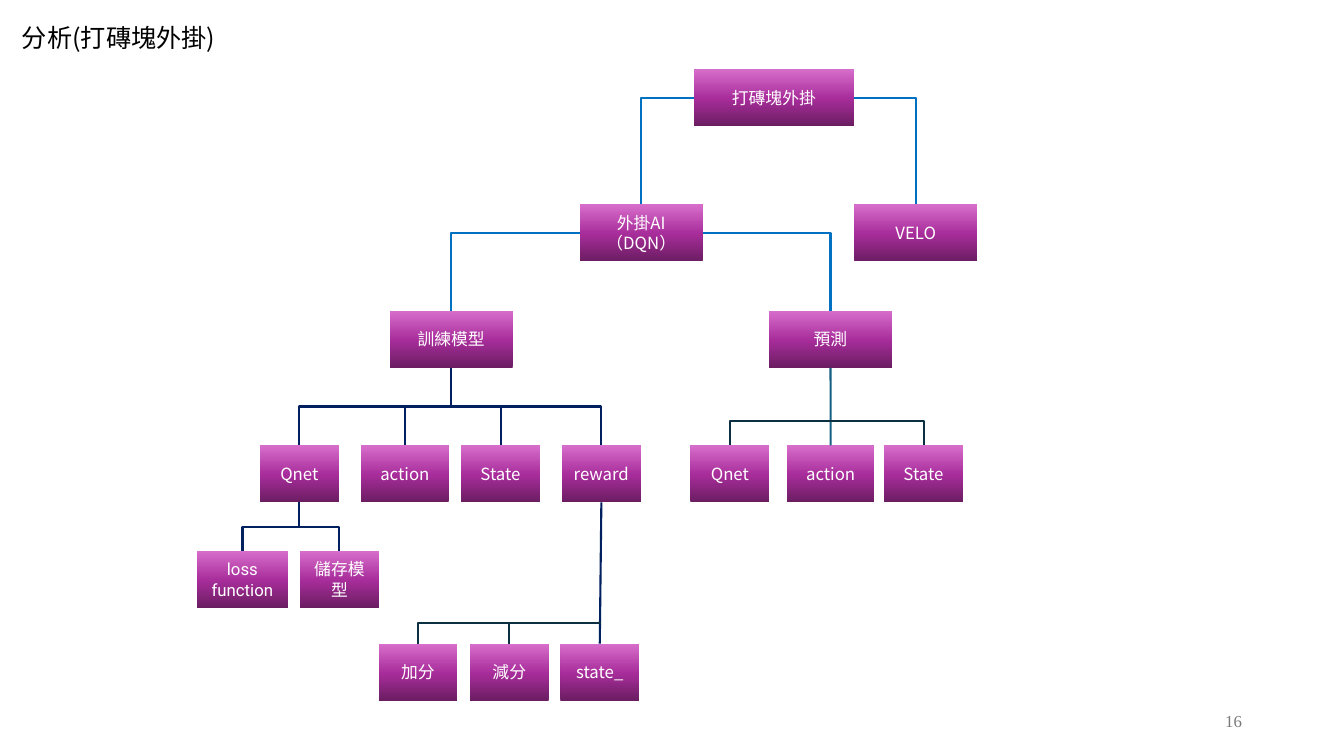
import copy
from dataclasses import dataclass

import pptx
import pptx.dml.color
import pptx.enum.shapes
import pptx.enum.text
import pptx.oxml.ns
import pptx.util
from lxml import etree
from pptx.util import Cm

CJK_FONT = "Noto Sans CJK SC"
BLUE, NAVY, TEAL, DARK = "0070C0", "002060", "156082", "0B3041"
GRADIENT = [(0, "6B1D62"), (0.48, "A72D9A"), (1, "D86ECC")]
ROW_TOPS = [1.74, 5.15, 7.83, 11.22, 13.88, 16.22]
BOX_HEIGHT = 1.44
TOP, LEFT, BOTTOM, RIGHT = range(4)
Align = pptx.enum.text.PP_ALIGN
Anchor = pptx.enum.text.MSO_ANCHOR
Line = pptx.enum.shapes.MSO_CONNECTOR


@dataclass
class Node:
    key: str
    text: str
    row: int
    left: float
    width: float = 1.99
    font: str = CJK_FONT


@dataclass
class Link:
    parent: str
    side: int
    child: str
    color: str
    straight: bool = False


@dataclass
class Branch:
    """An elbow from a point on a vertical stem to the top of a box."""
    x: float
    y: float
    child: str


NODES = [
    Node("root", "打磚塊外掛", 0, 17.48, 4.05),
    Node("ai", "外掛AI（DQN）", 1, 14.61, 3.1),
    Node("platform", "VELO", 1, 21.53, 3.1),
    Node("train", "訓練模型", 2, 9.82, 3.1),
    Node("predict", "預測", 2, 19.38, 3.1),
    Node("train qnet", "Qnet", 3, 6.55),
    Node("train action", "action", 3, 9.1, 2.21),
    Node("train state", "State", 3, 11.62),
    Node("reward", "reward", 3, 14.16),
    Node("predict qnet", "Qnet", 3, 17.4),
    Node("predict action", "action", 3, 19.83, 2.21),
    Node("predict state", "State", 3, 22.28),
    Node("loss", "loss function", 4, 4.96, 2.3, "Roboto"),
    Node("save", "儲存模型", 4, 7.56),
    Node("plus", "加分", 5, 9.54),
    Node("minus", "減分", 5, 11.84),
    Node("next state", "state_", 5, 14.12),
]
LINKS = [
    Link("root", LEFT, "ai", BLUE),
    Link("root", RIGHT, "platform", BLUE),
    Link("ai", LEFT, "train", BLUE),
    Link("ai", RIGHT, "predict", BLUE),
    Link("train", BOTTOM, "train qnet", NAVY),
    Link("train", BOTTOM, "train action", NAVY),
    Link("train", BOTTOM, "train state", NAVY),
    Link("train", BOTTOM, "reward", NAVY),
    Link("train qnet", BOTTOM, "loss", NAVY),
    Link("train qnet", BOTTOM, "save", NAVY),
    Link("reward", BOTTOM, "next state", NAVY, straight=True),
    Link("predict", BOTTOM, "predict action", TEAL, straight=True),
]
BRANCHES = [
    Branch(15.14, 15.7, "minus"),
    Branch(15.14, 15.7, "plus"),
    Branch(20.94, 10.62, "predict state"),
    Branch(20.94, 10.62, "predict qnet"),
]


def rgb(value: str) -> pptx.dml.color.RGBColor:
    return pptx.dml.color.RGBColor.from_string(value)


def write(shape, text: str, *, size: float = 12, font: str = CJK_FONT,
          color: str = "FFFFFF", align=Align.CENTER, anchor=Anchor.MIDDLE) -> None:
    frame = shape.text_frame
    frame.word_wrap = True
    frame.vertical_anchor = anchor
    para = frame.paragraphs[0]
    para.alignment = align
    span = para.add_run()
    span.text = text
    span.font.size = pptx.util.Pt(size)
    span.font.name = font
    span.font.color.rgb = rgb(color)
    latin = span.font._element.find(pptx.oxml.ns.qn("a:latin"))
    east_asian = etree.Element(pptx.oxml.ns.qn("a:ea"), typeface=font)
    latin.addnext(east_asian)


def fill_gradient(shape) -> None:
    shape.fill.gradient()
    shape.fill.gradient_angle = 90
    stop_list = next(shape._element.spPr.iter(pptx.oxml.ns.qn("a:gsLst")))
    stop_list.insert(1, copy.deepcopy(stop_list[0]))
    for stop, (position, color) in zip(shape.fill.gradient_stops, GRADIENT):
        stop.position = position
        stop.color.rgb = rgb(color)


def add_box(page, node: Node):
    box = page.shapes.add_shape(
        pptx.enum.shapes.MSO_SHAPE.RECTANGLE, Cm(node.left), Cm(ROW_TOPS[node.row]),
        Cm(node.width), Cm(BOX_HEIGHT))
    box.shadow.inherit = False
    box.line.fill.background()
    fill_gradient(box)
    write(box, node.text, font=node.font)
    return box


def style_line(connector, color: str) -> None:
    connector.line.color.rgb = rgb(color)
    connector.line.width = pptx.util.Pt(1.5)
    etree.SubElement(connector._element.spPr, pptx.oxml.ns.qn("a:effectLst"))


def bend_once(connector) -> None:
    """Run horizontally from the start, then vertically to the end."""
    geometry = connector._element.spPr.find(pptx.oxml.ns.qn("a:prstGeom"))
    geometry.set("prst", "bentConnector2")


def turn_downward(connector) -> None:
    """Turn an elbow so that it leaves and arrives vertically."""
    across = connector.end_x - connector.begin_x
    down = connector.end_y - connector.begin_y
    middle_x = (connector.begin_x + connector.end_x) // 2
    middle_y = (connector.begin_y + connector.end_y) // 2
    connector.left, connector.top = middle_x - down // 2, middle_y - abs(across) // 2
    connector.width, connector.height = down, abs(across)
    frame = connector._element.spPr.find(pptx.oxml.ns.qn("a:xfrm"))
    frame.set("rot", str((270 if across > 0 else 90) * 60000))
    frame.set("flipH", "1" if across > 0 else "0")


def add_link(page, link: Link, boxes: dict) -> None:
    kind = Line.STRAIGHT if link.straight else Line.ELBOW
    connector = page.shapes.add_connector(kind, 0, 0, 0, 0)
    connector.begin_connect(boxes[link.parent], link.side)
    connector.end_connect(boxes[link.child], TOP)
    style_line(connector, link.color)
    if link.side != BOTTOM:
        bend_once(connector)
    elif not link.straight:
        turn_downward(connector)


def add_branch(page, branch: Branch, boxes: dict) -> None:
    x, y = Cm(branch.x), Cm(branch.y)
    connector = page.shapes.add_connector(Line.ELBOW, x, y, x, y)
    connector.end_connect(boxes[branch.child], TOP)
    style_line(connector, DARK)
    bend_once(connector)


def main() -> None:
    deck = pptx.Presentation()
    deck.slide_width, deck.slide_height = Cm(33.87), Cm(19.05)
    page = deck.slides.add_slide(deck.slide_layouts[5])

    title = page.shapes.title
    title.left, title.top, title.width, title.height = Cm(0.3), Cm(0.43), Cm(16.94), Cm(1.02)
    write(title, "分析(打磚塊外掛)", size=18, color="000000", align=Align.LEFT, anchor=Anchor.TOP)
    title.text_frame.auto_size = pptx.enum.text.MSO_AUTO_SIZE.SHAPE_TO_FIT_TEXT

    boxes = {node.key: add_box(page, node) for node in NODES}
    for link in LINKS:
        add_link(page, link, boxes)
    for branch in BRANCHES:
        add_branch(page, branch, boxes)

    page_number = page.shapes.add_textbox(Cm(23.93), Cm(17.65), Cm(7.62), Cm(1.02))
    write(page_number, "16", font="Times New Roman", color="797979", align=Align.RIGHT)
    deck.save("out.pptx")


if __name__ == "__main__":
    main()
